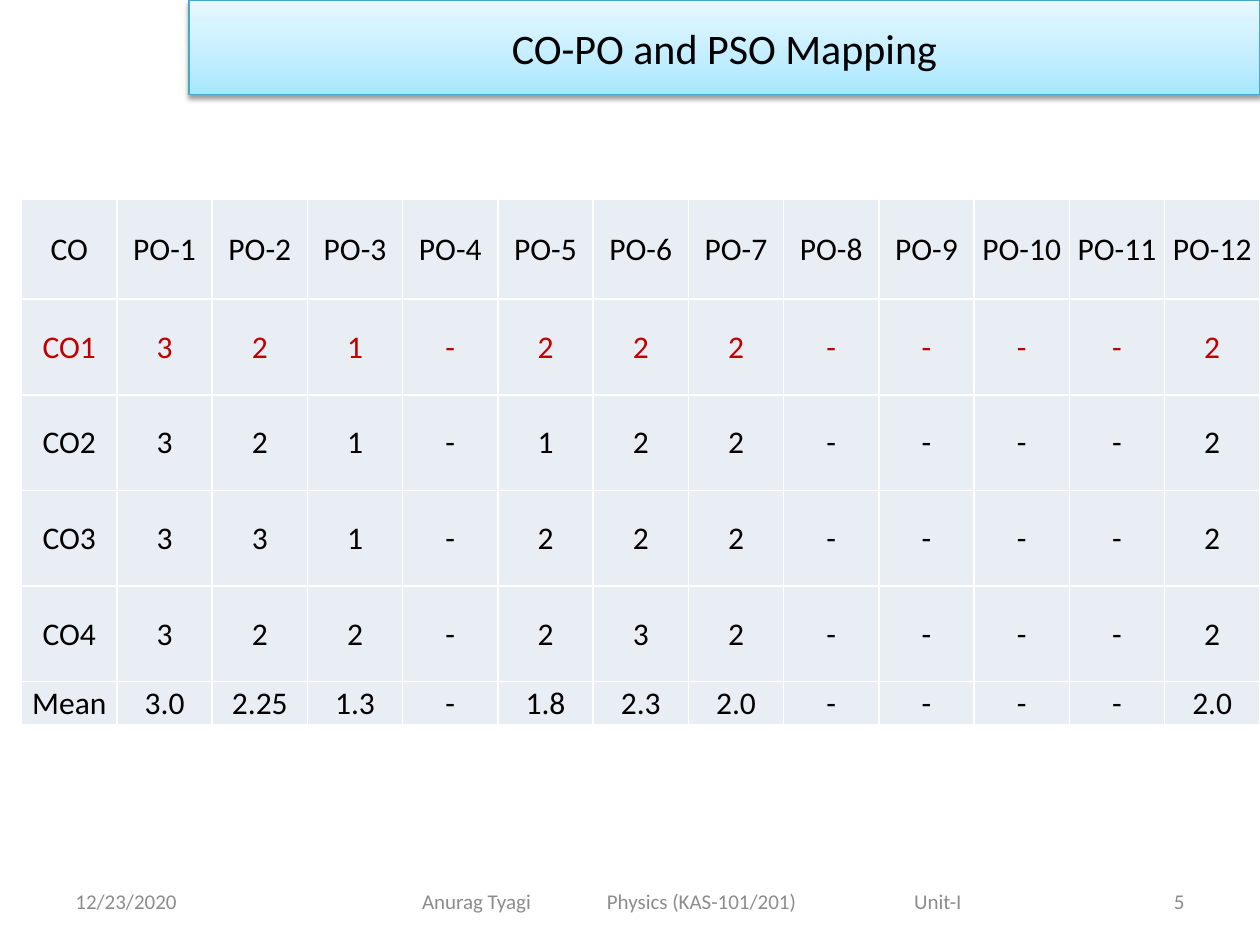
"""Build the CO-PO and PSO mapping slide."""
from lxml import etree
from pptx import Presentation
from pptx.dml.color import RGBColor
from pptx.enum.text import MSO_ANCHOR, MSO_AUTO_SIZE, PP_ALIGN
from pptx.oxml import parse_xml
from pptx.util import Pt

LEFT, CENTER, RIGHT = PP_ALIGN.LEFT, PP_ALIGN.CENTER, PP_ALIGN.RIGHT
MIDDLE, FIXED = MSO_ANCHOR.MIDDLE, MSO_AUTO_SIZE.NONE
DRAWING = "http://schemas.openxmlformats.org/drawingml/2006/main"
FONT = "Calibri"
COLORS = {"text": "000000", "accent": "C00000", "footer": "8C8C8C", "cell": "E9EDF4",
          "border": "FFFFFF", "title_line": "46AAC5", "shadow": "000000"}
TITLE = "CO-PO and PSO Mapping"
TITLE_STOPS = [(0, "A7E6FF"), (35, "C1EDFF"), (100, "E7F8FF")]
ROWS = [
    ["CO"] + [f"PO-{number}" for number in range(1, 13)],
    ["CO1", "3", "2", "1", "-", "2", "2", "2", "-", "-", "-", "-", "2"],
    ["CO2", "3", "2", "1", "-", "1", "2", "2", "-", "-", "-", "-", "2"],
    ["CO3", "3", "3", "1", "-", "2", "2", "2", "-", "-", "-", "-", "2"],
    ["CO4", "3", "2", "2", "-", "2", "3", "2", "-", "-", "-", "-", "2"],
    ["Mean", "3.0", "2.25", "1.3", "-", "1.8", "2.3", "2.0", "-", "-", "-", "-", "2.0"],
]
ROW_HEIGHTS = [57] + [54.6] * 4 + [24.6]
HIGHLIGHT_ROW = 1
TABLE_LEFT, TABLE_TOP, TABLE_WIDTH = 12.4, 114, 707.6
FOOTER_TOP, FOOTER_HEIGHT = 500.5, 28.75
FOOTERS = [
    {"text": "12/23/2020", "left": 36, "width": 168, "align": LEFT},
    {"text": "Anurag Tyagi\tPhysics (KAS-101/201)\tUnit-I", "left": 198, "width": 396,
     "align": LEFT, "inset": 43.2, "tabs": [105.6, 281.2]},
    {"text": "5", "left": 516, "width": 168, "align": RIGHT},
]


def write(frame, text, size=18, color="text", align=CENTER, tabs=()):
    para = frame.paragraphs[0]
    para.alignment = align
    if tabs:
        tab_list = etree.SubElement(para._p.get_or_add_pPr(), f"{{{DRAWING}}}tabLst")
        for position in tabs:
            etree.SubElement(tab_list, f"{{{DRAWING}}}tab", pos=str(Pt(position)), algn="l")
    span = para.add_run()
    span.text = text
    span.font.name = FONT
    span.font.size = Pt(size)
    span.font.color.rgb = RGBColor.from_string(COLORS[color])


def place(shape, left, top, width, height):
    shape.left, shape.top = Pt(left), Pt(top)
    shape.width, shape.height = Pt(width), Pt(height)


def add_title(slide):
    box = slide.shapes.title
    place(box, 108, 0, 612, 54)
    stops = "".join(f'<a:gs pos="{position * 1000}"><a:srgbClr val="{color}"/></a:gs>'
                    for position, color in TITLE_STOPS)
    parts = [
        '<a:prstGeom xmlns:a="{ns}" prst="rect"><a:avLst/></a:prstGeom>',
        '<a:gradFill xmlns:a="{ns}" rotWithShape="1"><a:gsLst>' + stops
        + '</a:gsLst><a:lin ang="16200000" scaled="0"/></a:gradFill>',
    ]
    for part in parts:
        box._element.spPr.append(parse_xml(part.format(ns=DRAWING)))
    box.line.color.rgb = RGBColor.from_string(COLORS["title_line"])
    box.line.width = Pt(0.75)
    box._element.spPr.append(parse_xml(
        f'<a:effectLst xmlns:a="{DRAWING}"><a:outerShdw blurRad="{Pt(3.1)}" dist="{Pt(1.6)}" '
        f'dir="5400000" rotWithShape="0"><a:srgbClr val="{COLORS["shadow"]}">'
        '<a:alpha val="38000"/></a:srgbClr></a:outerShdw></a:effectLst>'))
    frame = box.text_frame
    frame.auto_size = FIXED
    frame.word_wrap = True
    frame.vertical_anchor = MIDDLE
    write(frame, TITLE, size=24)


def format_cell(cell):
    cell.margin_left = cell.margin_right = cell.margin_top = Pt(0.75)
    cell.margin_bottom = 0
    cell.vertical_anchor = MIDDLE
    properties = cell._tc.get_or_add_tcPr()
    for side in ("lnL", "lnR", "lnT", "lnB"):
        properties.append(parse_xml(
            f'<a:{side} xmlns:a="{DRAWING}" w="{Pt(1)}"><a:solidFill>'
            f'<a:srgbClr val="{COLORS["border"]}"/></a:solidFill></a:{side}>'))
    cell.fill.solid()
    cell.fill.fore_color.rgb = RGBColor.from_string(COLORS["cell"])


def add_mapping_table(slide):
    table = slide.shapes.add_table(len(ROWS), len(ROWS[0]), Pt(TABLE_LEFT), Pt(TABLE_TOP),
                                   Pt(TABLE_WIDTH), Pt(sum(ROW_HEIGHTS))).table
    table.first_row = table.horz_banding = False
    for column in table.columns:
        column.width = Pt(TABLE_WIDTH / len(ROWS[0]))
    for row_index, (values, height) in enumerate(zip(ROWS, ROW_HEIGHTS)):
        table.rows[row_index].height = Pt(height)
        color = "accent" if row_index == HIGHLIGHT_ROW else "text"
        for column_index, value in enumerate(values):
            cell = table.cell(row_index, column_index)
            format_cell(cell)
            write(cell.text_frame, value, color=color)


def add_footer(slide, text, left, width, align, inset=7.2, tabs=()):
    box = slide.shapes.add_textbox(Pt(left), Pt(FOOTER_TOP), Pt(width), Pt(FOOTER_HEIGHT))
    frame = box.text_frame
    frame.word_wrap = True
    frame.vertical_anchor = MIDDLE
    frame.margin_left = Pt(inset)
    write(frame, text, size=12, color="footer", align=align, tabs=tabs)


def main():
    deck = Presentation()
    deck.slide_width, deck.slide_height = Pt(720), Pt(540)
    slide = deck.slides.add_slide(deck.slide_layouts[5])
    add_mapping_table(slide)
    for footer in FOOTERS:
        add_footer(slide, **footer)
    add_title(slide)
    deck.save("out.pptx")


if __name__ == "__main__":
    main()
